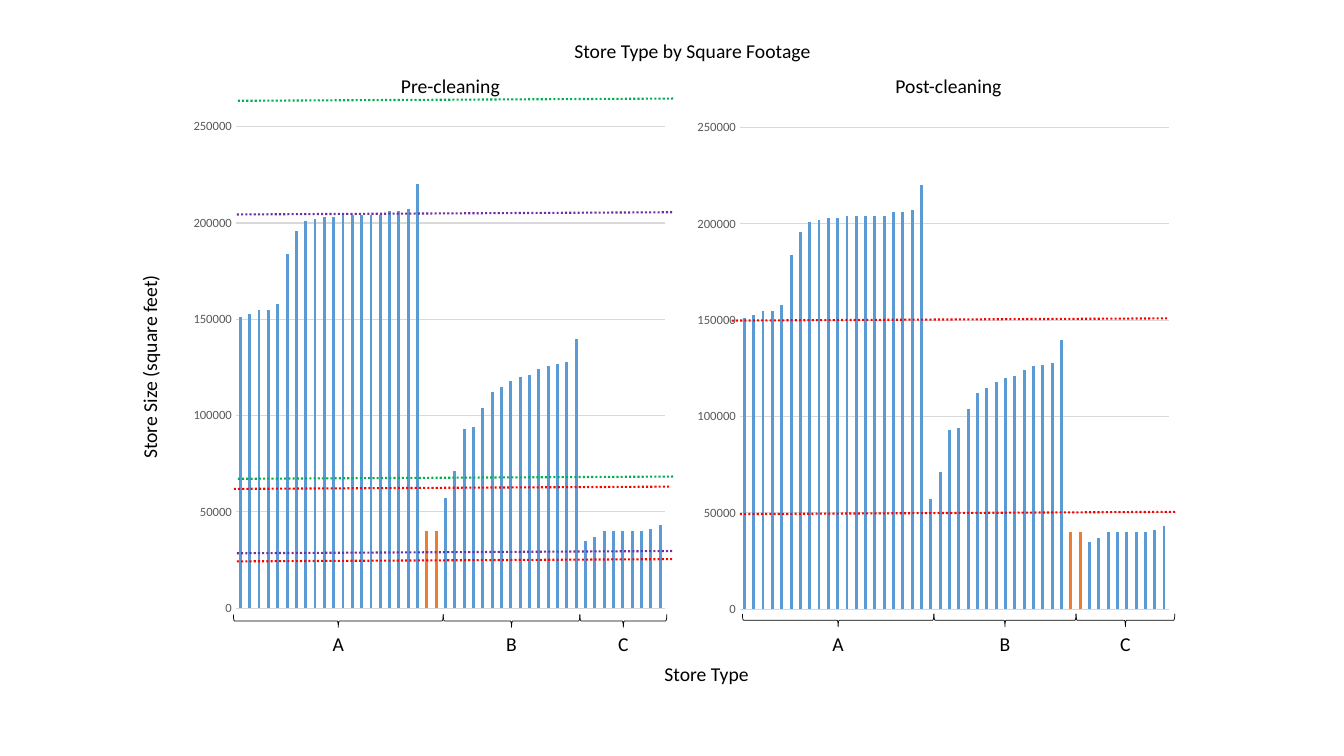
from lxml.etree import SubElement
from pptx import Presentation
from pptx.chart.data import CategoryChartData
from pptx.dml.color import RGBColor
from pptx.enum.chart import XL_CHART_TYPE as ChartType, XL_TICK_MARK as TickMark
from pptx.enum.dml import MSO_LINE as LineDash
from pptx.enum.shapes import MSO_CONNECTOR as Connector, MSO_SHAPE as Shape
from pptx.enum.text import MSO_ANCHOR as Anchor, MSO_AUTO_SIZE as AutoSize, PP_ALIGN as Align
from pptx.oxml.ns import qn
from pptx.util import Pt

COLORS = {
    "text": "000000", "axis": "595959", "grid": "D9D9D9", "bar": "5B9BD5",
    "misfiled": "ED7D31", "red": "FF0000", "purple": "7030A0", "green": "00B050",
}
TYPE_A = [151, 153, 155, 155, 158, 184, 196, 201, 202, 203, 203, 204, 204,
          204, 204, 204, 206, 206, 207, 220]
MISFILED = [40, 40]
TYPE_B = [57, 71, 93, 94, 104, 112, 115, 118, 120, 121, 124, 126, 127, 128, 140]
TYPE_C = [35, 37, 40, 40, 40, 40, 40, 41, 43]
PLOT_LAYOUT = {"layoutTarget": "inner", "xMode": "edge", "yMode": "edge",
               "x": 0.148, "y": 0.015, "w": 0.852, "h": 0.937}
FRAME_FORMAT = {"word_wrap": True, "auto_size": AutoSize.NONE, "vertical_anchor": Anchor.TOP,
                "margin_left": 0, "margin_right": 0,
                "margin_top": Pt(3.6), "margin_bottom": Pt(3.6)}
LABEL_HEIGHT = 24.5
LIMIT_RUN, LIMIT_RISE = 311.8, 1.6
BRACE_DEPTH = 9.2

PANELS = [
    {"heading": "Pre-cleaning", "heading_left": 167, "chart_at": (115.2, 85),
     "groups": [TYPE_A, MISFILED, TYPE_B, TYPE_C],
     "edges": [166.7, 316.6, 414.2, 476.3], "brace_y": 443.5,
     "limits": [("red", 167, 349.2), ("red", 169.2, 401), ("purple", 169.2, 395.2),
                ("purple", 169.2, 153.2), ("green", 169.9, 342), ("green", 169.9, 72)]},
    {"heading": "Post-cleaning", "heading_left": 522.7, "chart_at": (475.2, 85.7),
     "groups": [TYPE_A, TYPE_B, MISFILED, TYPE_C],
     "edges": [530.3, 667.1, 768.6, 839.2], "brace_y": 443,
     "limits": [("red", 522.7, 229), ("red", 528.5, 367.2)]},
]


def color(name):
    """Return the named colour."""
    return RGBColor.from_string(COLORS[name])


def apply_format(target, values):
    """Set every attribute in values on target."""
    for name, value in values.items():
        setattr(target, name, value)


def format_font(font, size, color_name):
    """Give a font its face, size and colour."""
    apply_format(font, {"name": "Calibri", "size": Pt(size), "bold": False})
    font.color.rgb = color(color_name)


def write_text(shape, text):
    """Fill a shape with one centred line of text."""
    frame = shape.text_frame
    apply_format(frame, FRAME_FORMAT)
    paragraph = frame.paragraphs[0]
    paragraph.alignment = Align.CENTER
    run = paragraph.add_run()
    run.text = text
    format_font(run.font, 14, "text")


def add_label(slide, text, left, top, width, rotation=0):
    """Add a text label."""
    shape = slide.shapes.add_textbox(Pt(left), Pt(top), Pt(width), Pt(LABEL_HEIGHT))
    shape.rotation = rotation
    write_text(shape, text)


def set_title(slide, text, left, top, width):
    """Place and fill the title placeholder."""
    title = slide.shapes.title
    apply_format(title, {"left": Pt(left), "top": Pt(top),
                         "width": Pt(width), "height": Pt(LABEL_HEIGHT)})
    write_text(title, text)


def set_plot_layout(chart):
    """Fix the inner plot area within the chart."""
    plot_area = chart.element.find(".//" + qn("c:plotArea"))
    for layout in plot_area.findall(qn("c:layout")):
        plot_area.remove(layout)
    layout = SubElement(plot_area, qn("c:layout"))
    plot_area.insert(0, layout)
    manual = SubElement(layout, qn("c:manualLayout"))
    for name, value in PLOT_LAYOUT.items():
        SubElement(manual, qn("c:" + name)).set("val", str(value))


def add_size_chart(slide, groups, left, top):
    """Add a column chart of store sizes with misfiled stores highlighted."""
    values = [thousand * 1000 for group in groups for thousand in group]
    data = CategoryChartData()
    data.categories = [str(number) for number in range(1, len(values) + 1)]
    data.add_series("Series 1", values)
    chart = slide.shapes.add_chart(ChartType.COLUMN_CLUSTERED, Pt(left), Pt(top),
                                   Pt(360), Pt(367.2), data).chart
    apply_format(chart, {"has_title": False, "has_legend": False})
    format_font(chart.font, 10, "text")
    chart.category_axis.visible = False
    axis = chart.value_axis
    apply_format(axis, {"minimum_scale": 0, "maximum_scale": 250000, "major_unit": 50000,
                        "major_tick_mark": TickMark.NONE, "minor_tick_mark": TickMark.NONE})
    format_font(axis.tick_labels.font, 9, "axis")
    axis.format.line.fill.background()
    grid = axis.major_gridlines.format.line
    grid.color.rgb = color("grid")
    grid.width = Pt(0.75)
    plot = chart.plots[0]
    apply_format(plot, {"gap_width": 219, "overlap": -27, "vary_by_categories": False})
    series = plot.series[0]
    series.format.fill.solid()
    series.format.fill.fore_color.rgb = color("bar")
    first = sum(len(group) for group in groups[:groups.index(MISFILED)])
    for index in range(first, first + len(MISFILED)):
        fill = series.points[index].format.fill
        fill.solid()
        fill.fore_color.rgb = color("misfiled")
    set_plot_layout(chart)


def add_limit(slide, color_name, left, top):
    """Add a dotted limit line that rises slightly to the right."""
    connector = slide.shapes.add_connector(Connector.STRAIGHT, Pt(left), Pt(top),
                                           Pt(left + LIMIT_RUN), Pt(top - LIMIT_RISE))
    connector.line.color.rgb = color(color_name)
    apply_format(connector.line, {"width": Pt(1.5), "dash_style": LineDash.ROUND_DOT})
    SubElement(connector.element.spPr, qn("a:effectLst"))


def add_store_type(slide, letter, start, end, center_y):
    """Add a brace below a group of columns, with its letter."""
    center, span = (start + end) / 2, end - start
    brace = slide.shapes.add_shape(Shape.LEFT_BRACE, Pt(center - BRACE_DEPTH / 2),
                                   Pt(center_y - span / 2), Pt(BRACE_DEPTH), Pt(span))
    brace.rotation = 270
    brace.shadow.inherit = False
    brace.fill.background()
    brace.line.color.rgb = color("text")
    brace.line.width = Pt(0.5)
    add_label(slide, letter, center - LABEL_HEIGHT / 2, 447.5, LABEL_HEIGHT)


def add_panel(slide, panel):
    """Add one chart with its heading, limits and store types."""
    add_size_chart(slide, panel["groups"], *panel["chart_at"])
    for limit in panel["limits"]:
        add_limit(slide, *limit)
    edges = panel["edges"]
    for letter, start, end in zip("ABC", edges, edges[1:]):
        add_store_type(slide, letter, start, end, panel["brace_y"])
    add_label(slide, panel["heading"], panel["heading_left"], 49, 309.6)


def main():
    """Build and save the slide."""
    presentation = Presentation()
    apply_format(presentation, {"slide_width": Pt(960), "slide_height": Pt(540)})
    slide = presentation.slides.add_slide(presentation.slide_layouts[5])
    set_title(slide, "Store Type by Square Footage", 403.2, 24.5, 182.9)
    for panel in PANELS:
        add_panel(slide, panel)
    add_label(slide, "Store Type", 464.4, 469.4, 80.6)
    add_label(slide, "Store Size (square feet)", -69.1, 249.8, 352.1, 270)
    presentation.save("out.pptx")


main()
